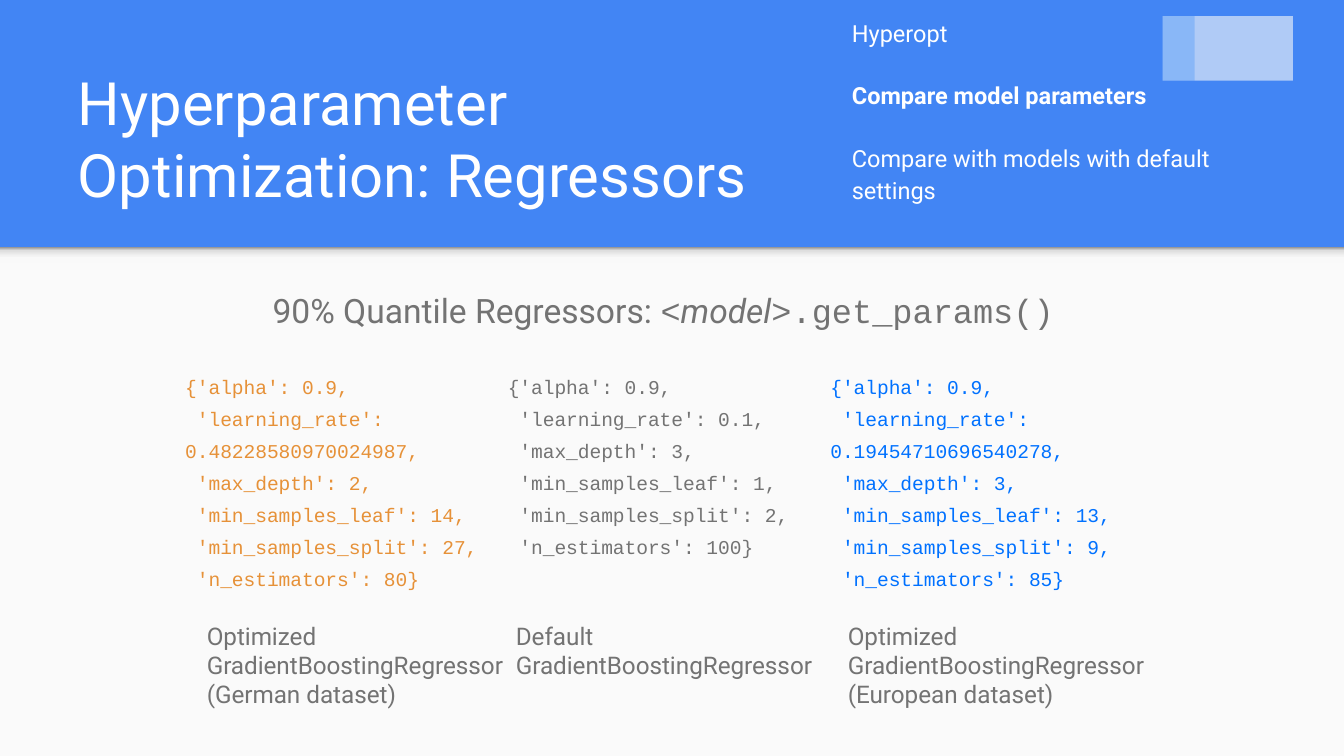
import pptx
import pptx.dml.color
import pptx.enum.shapes
import pptx.enum.text
import pptx.oxml
import pptx.oxml.ns
import pptx.util
from pptx.util import Inches

RGBColor = pptx.dml.color.RGBColor
BLUE = RGBColor(0x42, 0x85, 0xF4)
BRIGHT_BLUE = RGBColor(0x00, 0x71, 0xFF)
PALE_BLUE = RGBColor(0xE5, 0xED, 0xF8)
ORANGE = RGBColor(0xE6, 0x91, 0x38)
GRAY = RGBColor(0x73, 0x73, 0x73)
OFF_WHITE = RGBColor(0xFA, 0xFA, 0xFA)
WHITE = RGBColor(0xFF, 0xFF, 0xFF)
SHADOW_STOPS = [(0, "F9F9F9"), (36, "F9F9F9"), (80, "DEDEDE"), (100, "999999")]
SANS = "Roboto"
MONO = "Courier New"
SLIDE_WIDTH = 10
SLIDE_HEIGHT = SLIDE_WIDTH * 9 / 16
HEADER_HEIGHT = 1.84

# One entry per model: code colour, parameter values, caption left and width, caption
PARAMETERS = ["alpha", "learning_rate", "max_depth", "min_samples_leaf",
              "min_samples_split", "n_estimators"]
MODELS = [
    (ORANGE, ["0.9", "0.48228580970024987", "2", "14", "27", "80"],
     1.44, 2.41, ["Optimized GradientBoostingRegressor", "(German dataset)"]),
    (GRAY, ["0.9", "0.1", "3", "1", "2", "100"],
     3.74, 2.46, ["Default GradientBoostingRegressor"]),
    (BRIGHT_BLUE, ["0.9", "0.19454710696540278", "3", "13", "9", "85"],
     6.21, 2.51, ["Optimized GradientBoostingRegressor", "(European dataset)"]),
]


def write_text(shape, paragraphs, size, color, font=SANS, line_spacing=None,
               space_before=0, anchor=pptx.enum.text.MSO_ANCHOR.TOP, grow=False):
    """Fill a shape; each paragraph is a string or a list of (text, font settings) runs."""
    frame = shape.text_frame
    frame.word_wrap = True
    frame.vertical_anchor = anchor
    auto_size = pptx.enum.text.MSO_AUTO_SIZE
    frame.auto_size = auto_size.SHAPE_TO_FIT_TEXT if grow else auto_size.NONE
    frame.margin_left = frame.margin_right = Inches(0.1)
    frame.margin_top = frame.margin_bottom = Inches(0.1)
    for index, runs in enumerate(paragraphs):
        paragraph = frame.add_paragraph() if index else frame.paragraphs[0]
        paragraph.alignment = pptx.enum.text.PP_ALIGN.LEFT
        if line_spacing:
            paragraph.line_spacing = line_spacing
        if index and space_before:
            paragraph.space_before = pptx.util.Pt(space_before)
        for text, settings in [(runs, {})] if isinstance(runs, str) else runs:
            run = paragraph.add_run()
            run.text = text
            run.font.name = settings.get("font", font)
            run.font.size = pptx.util.Pt(size)
            run.font.bold = settings.get("bold", False)
            run.font.italic = settings.get("italic", False)
            run.font.color.rgb = color


def add_text(slide, left, top, width, height, paragraphs, **text_format):
    box = slide.shapes.add_textbox(Inches(left), Inches(top), Inches(width), Inches(height))
    write_text(box, paragraphs, **text_format)


def add_rectangle(slide, left, top, width, height, color, opacity=100):
    shape = slide.shapes.add_shape(pptx.enum.shapes.MSO_SHAPE.RECTANGLE, Inches(left),
                                   Inches(top), Inches(width), Inches(height))
    shape.shadow.inherit = False
    shape.line.fill.background()
    shape.fill.solid()
    shape.fill.fore_color.rgb = color
    if opacity < 100:
        color_element = shape.fill._xPr.find(".//" + pptx.oxml.ns.qn("a:srgbClr"))
        alpha = pptx.oxml.parse_xml(
            f'<a:alpha {pptx.oxml.ns.nsdecls("a")} val="{opacity * 1000}"/>')
        color_element.append(alpha)
    return shape


def add_body_panel(slide, left, top, width, height):
    """Light panel with a soft shadow along its upper edge."""
    add_rectangle(slide, left, top, width, height, OFF_WHITE)
    shadow = add_rectangle(slide, left, top, width, 0.12, OFF_WHITE)
    stops = "".join(f'<a:gs pos="{position * 1000}"><a:srgbClr val="{color}"/></a:gs>'
                    for position, color in SHADOW_STOPS)
    gradient = pptx.oxml.parse_xml(
        f'<a:gradFill {pptx.oxml.ns.nsdecls("a")}><a:gsLst>{stops}</a:gsLst>'
        '<a:lin ang="16200000" scaled="0"/></a:gradFill>')
    properties = shadow.fill._xPr
    properties.replace(properties.find(pptx.oxml.ns.qn("a:solidFill")), gradient)


def add_header(slide, left, top):
    bottom = pptx.enum.text.MSO_ANCHOR.BOTTOM
    add_text(slide, left + 6.24, top + 0.3, 2.94, 1.32,
             ["Hyperopt",
              [("Compare model parameters", {"bold": True})],
              "Compare with models with default settings"],
             size=12.6, color=WHITE, line_spacing=1.15, space_before=16, anchor=bottom)
    add_rectangle(slide, left + 8.65, top + 0.12, 0.97, 0.48, PALE_BLUE, opacity=68)
    add_rectangle(slide, left + 8.65, top + 0.12, 0.24, 0.48, BRIGHT_BLUE, opacity=22)
    title = slide.shapes.title
    title.left, title.top = Inches(left + 0.48), Inches(top + 0.52)
    title.width, title.height = Inches(5.99), Inches(1.14)
    write_text(title, ["Hyperparameter Optimization: Regressors"],
               size=32, color=WHITE, anchor=bottom)


def add_model_columns(slide, left, top, column_width):
    """Parameter listings side by side, each with a caption below."""
    for index, (color, values, caption_left, caption_width, caption) in enumerate(MODELS):
        lines = [f" '{name}': {value}," for name, value in zip(PARAMETERS, values)]
        lines[0] = "{" + lines[0].strip()
        lines[-1] = lines[-1].replace(",", "}")
        height = 1.58 if color == GRAY else 1.82
        add_text(slide, left + index * column_width, top, column_width, height, lines,
                 size=10.5, color=color, font=MONO, line_spacing=1.36)
        add_text(slide, caption_left, top + 1.89, caption_width,
                 0.2 + 0.22 * (len(caption) + 1), caption, size=13, color=GRAY, grow=True)


def build_slide(presentation):
    slide = presentation.slides.add_slide(presentation.slide_layouts[5])
    slide.background.fill.solid()
    slide.background.fill.fore_color.rgb = BLUE
    add_body_panel(slide, 0, HEADER_HEIGHT, SLIDE_WIDTH, SLIDE_HEIGHT - HEADER_HEIGHT)
    add_header(slide, 0, 0)
    add_text(slide, 1.93, 2.06, 6.14, 0.5,
             [[("90% Quantile Regressors: ", {}), ("<", {"font": MONO}),
               ("model", {"italic": True}), (">.get_params()", {"font": MONO})]],
             size=18, color=GRAY, grow=True)
    add_model_columns(slide, 1.28, 2.63, 2.4)


def main():
    presentation = pptx.Presentation()
    presentation.slide_width = Inches(SLIDE_WIDTH)
    presentation.slide_height = Inches(SLIDE_HEIGHT)
    build_slide(presentation)
    presentation.save("out.pptx")


if __name__ == "__main__":
    main()
